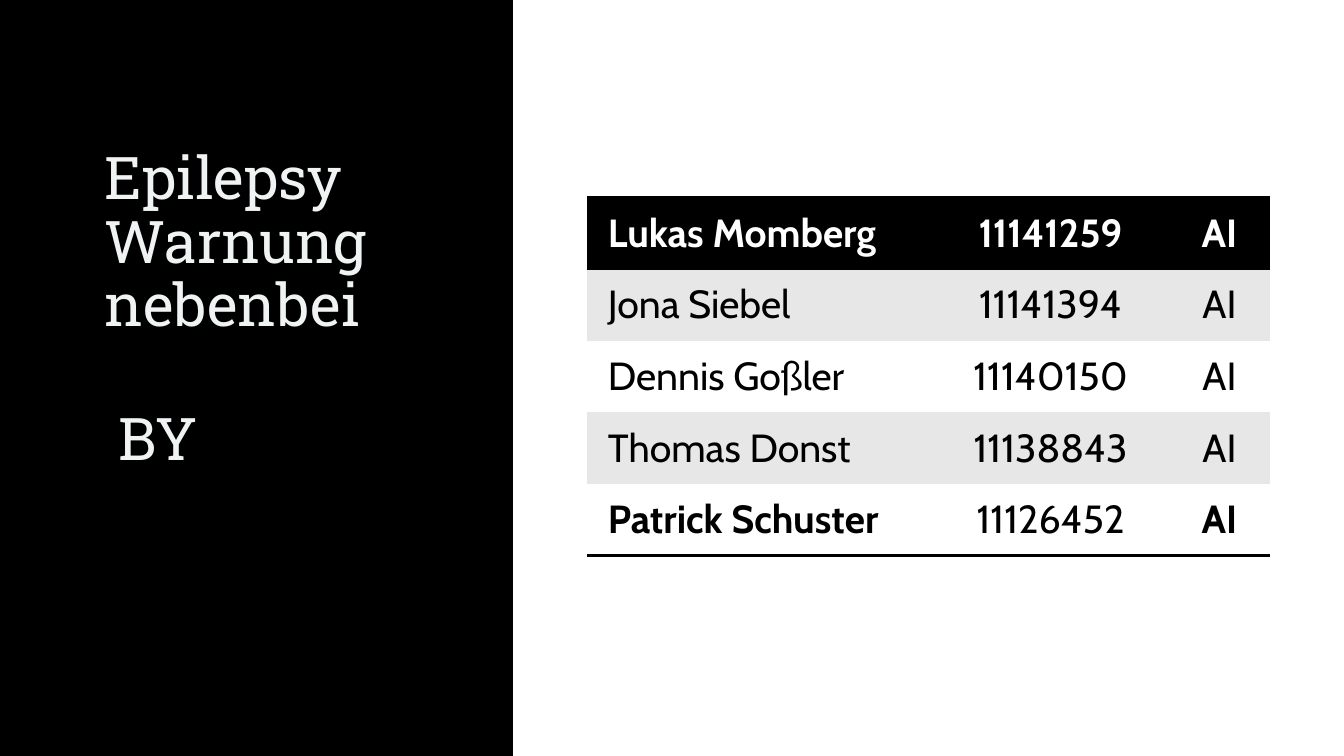
from lxml import etree
from pptx import Presentation
from pptx.dml.color import RGBColor
from pptx.enum.shapes import MSO_SHAPE
from pptx.enum.text import MSO_ANCHOR, PP_ALIGN
from pptx.oxml import parse_xml
from pptx.oxml.ns import nsdecls, qn
from pptx.util import Inches, Pt

RECTANGLE = MSO_SHAPE.RECTANGLE
BOTTOM, MIDDLE = MSO_ANCHOR.BOTTOM, MSO_ANCHOR.MIDDLE
LEFT, CENTER = PP_ALIGN.LEFT, PP_ALIGN.CENTER
NO_TABLE_STYLE = "{2D5ABB26-0587-4C30-8999-92F81FD0307C}"

THEME = {
    "black": RGBColor.from_string("000000"),
    "white": RGBColor.from_string("FFFFFF"),
    "band": RGBColor.from_string("E7E7E7"),
    "title": RGBColor.from_string("F0F3F3"),
    "title_font": "Roboto Slab",
    "table_font": "Cabin",
    "title_size": Pt(42),
    "table_size": Pt(28),
    "rule_width": Pt(2),
}

TEAM = [
    ("Lukas Momberg", "11141259", "AI"),
    ("Jona Siebel", "11141394", "AI"),
    ("Dennis Goßler", "11140150", "AI"),
    ("Thomas Donst", "11138843", "AI"),
    ("Patrick Schuster", "11126452", "AI"),
]
LAST_ROW = len(TEAM) - 1
BOLD_CELLS = {(0, 0), (0, 1), (0, 2), (LAST_ROW, 0), (LAST_ROW, 2)}


def apply_format(target, values):
    for name, value in values.items():
        setattr(target, name, value)


def add_rule(cell, side):
    """Draw a black line along the top (lnT) or bottom (lnB) of a cell."""
    line = parse_xml(
        f'<a:{side} {nsdecls("a")} w="{THEME["rule_width"]}"><a:solidFill>'
        f'<a:srgbClr val="{THEME["black"]}"/></a:solidFill></a:{side}>'
    )
    cell._tc.get_or_add_tcPr().insert(0, line)


presentation = Presentation()
presentation.slide_width = Inches(13.33)
presentation.slide_height = Inches(7.5)
slide = presentation.slides.add_slide(presentation.slide_layouts[6])
slide.background.fill.solid()
slide.background.fill.fore_color.rgb = THEME["black"]

# Title
title = slide.shapes.add_textbox(Inches(0.94), Inches(0.91), Inches(3.7), Inches(3.83))
title_frame = title.text_frame
apply_format(title_frame, {"word_wrap": True, "vertical_anchor": BOTTOM})
title_frame.text = "Epilepsy\vWarnung\vnebenbei"
byline = title_frame.add_paragraph()
byline.text = "BY"
byline.space_before = Pt(50)
byline._p.get_or_add_pPr().set("marL", str(Inches(0.14)))
for paragraph in title_frame.paragraphs:
    paragraph.line_spacing = 0.9
    apply_format(paragraph.font, {"name": THEME["title_font"], "size": THEME["title_size"]})
    paragraph.font.color.rgb = THEME["title"]

# White panel
panel = slide.shapes.add_shape(RECTANGLE, Inches(5.09), 0, Inches(8.24), Inches(7.5))
panel.shadow.inherit = False
panel.fill.solid()
panel.fill.fore_color.rgb = THEME["white"]
panel.line.fill.background()

# Team table
table = slide.shapes.add_table(
    len(TEAM), 3, Inches(5.82), Inches(1.96), Inches(6.78), Inches(3.57)
).table
table.horz_banding = False
table._tbl.tblPr.find(qn("a:tableStyleId")).text = NO_TABLE_STYLE
for column, width in zip(table.columns, (3.43, 2.34, 1.01)):
    column.width = Inches(width)

cell_format = {
    "margin_left": Inches(0.21),
    "margin_right": Inches(0.21),
    "margin_top": Inches(0.1),
    "margin_bottom": Inches(0.1),
    "vertical_anchor": MIDDLE,
}
for row_index, member in enumerate(TEAM):
    is_header = row_index == 0
    row_fill = "black" if is_header else "band" if row_index % 2 else "white"
    for column_index, text in enumerate(member):
        cell = table.cell(row_index, column_index)
        cell.text = text
        apply_format(cell, cell_format)
        cell.fill.solid()
        cell.fill.fore_color.rgb = THEME[row_fill]
        paragraph = cell.text_frame.paragraphs[0]
        paragraph.alignment = CENTER if column_index else LEFT
        font = paragraph.runs[0].font
        apply_format(font, {
            "name": THEME["table_font"],
            "size": THEME["table_size"],
            "bold": (row_index, column_index) in BOLD_CELLS,
        })
        font.color.rgb = THEME["white" if is_header else "black"]
        if row_index in (0, LAST_ROW):
            add_rule(cell, "lnB")
        if is_header:
            add_rule(cell, "lnT")
for row in table.rows:
    row.height = Inches(0.71)

presentation.save("out.pptx")
